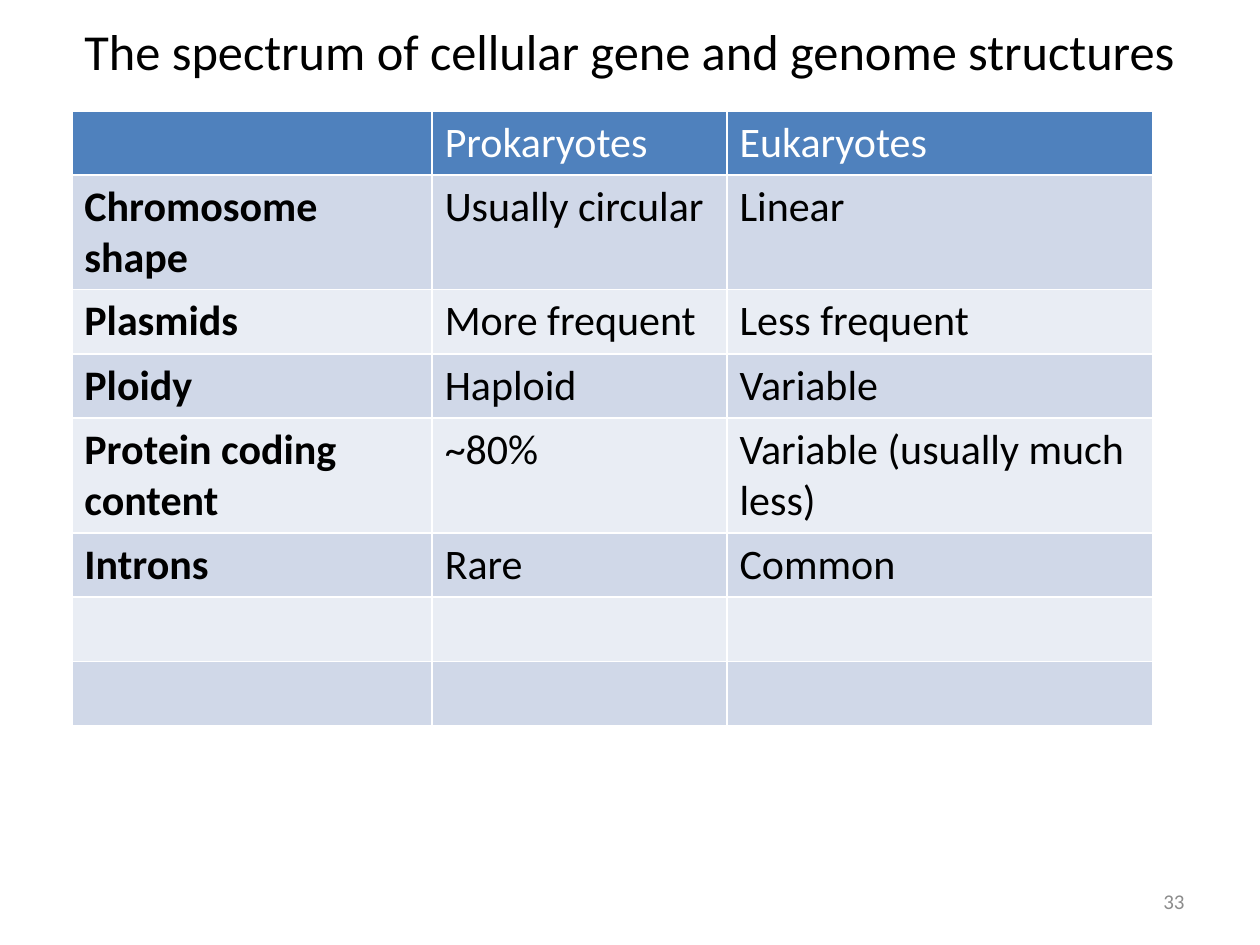
from dataclasses import dataclass

from lxml.etree import SubElement
from pptx import Presentation
from pptx.dml.color import RGBColor
from pptx.enum.text import MSO_ANCHOR as Anchor, PP_ALIGN as Align
from pptx.oxml.ns import qn
from pptx.util import Inches, Pt


@dataclass(frozen=True)
class Theme:
    font: str = "Calibri"
    ink: str = "000000"
    white: str = "FFFFFF"
    muted: str = "8C8C8C"
    header: str = "4F81BD"
    bands: tuple = ("D0D8E8", "E9EDF4")
    title_size: float = 28.8
    cell_size: float = 24
    number_size: float = 12
    border: float = 1


THEME = Theme()

COMPARISON = [
    ("", "Prokaryotes", "Eukaryotes"),
    ("Chromosome shape", "Usually circular", "Linear"),
    ("Plasmids", "More frequent", "Less frequent"),
    ("Ploidy", "Haploid", "Variable"),
    ("Protein coding content", "~80%", "Variable (usually much less)"),
    ("Introns", "Rare", "Common"),
    ("", "", ""),
    ("", "", ""),
]
COLUMN_WIDTHS = (2.86, 2.34, 3.38)
ONE_LINE, TWO_LINES = 0.51, 0.91
TWO_LINE_ROWS = (1, 4)


def write(frame, text, size, color=THEME.ink, bold=False, align=Align.LEFT):
    """Put one formatted paragraph into a text frame."""
    paragraph = frame.paragraphs[0]
    paragraph.alignment = align
    run = paragraph.add_run()
    run.text = text
    run.font.name = THEME.font
    run.font.size = Pt(size)
    run.font.bold = bold
    run.font.color.rgb = RGBColor.from_string(color)


def add_label(slide, text, left, top, width, height, anchor=Anchor.TOP, **style):
    box = slide.shapes.add_textbox(*map(Inches, (left, top, width, height)))
    frame = box.text_frame
    frame.word_wrap = True
    frame.vertical_anchor = anchor
    write(frame, text, **style)


def style_cell(cell, fill):
    """Give a cell its borders and its fill."""
    properties = cell._tc.get_or_add_tcPr()
    for side in ("lnL", "lnR", "lnT", "lnB"):
        line = SubElement(properties, qn(f"a:{side}"), w=str(Pt(THEME.border)))
        solid = SubElement(line, qn("a:solidFill"))
        SubElement(solid, qn("a:srgbClr"), val=THEME.white)
    cell.fill.solid()
    cell.fill.fore_color.rgb = RGBColor.from_string(fill)


def add_comparison(slide, left, top):
    heights = [TWO_LINES if row in TWO_LINE_ROWS else ONE_LINE
               for row in range(len(COMPARISON))]
    table = slide.shapes.add_table(
        len(COMPARISON), len(COLUMN_WIDTHS), Inches(left), Inches(top),
        Inches(sum(COLUMN_WIDTHS)), Inches(sum(heights))).table
    table.horz_banding = False
    for column, width in zip(table.columns, COLUMN_WIDTHS):
        column.width = Inches(width)

    for r, (entries, height) in enumerate(zip(COMPARISON, heights)):
        table.rows[r].height = Inches(height)
        is_header = r == 0
        fill = THEME.header if is_header else THEME.bands[(r - 1) % 2]
        for c, entry in enumerate(entries):
            cell = table.cell(r, c)
            style_cell(cell, fill)
            if entry:
                write(cell.text_frame, entry, THEME.cell_size,
                      color=THEME.white if is_header else THEME.ink,
                      bold=c == 0)


def main():
    presentation = Presentation()
    presentation.slide_width = Inches(10)
    presentation.slide_height = Inches(7.5)
    slide = presentation.slides.add_slide(presentation.slide_layouts[6])

    # Title
    add_label(slide, "The spectrum of cellular gene and genome structures",
              0.5, 0.11, 9, 0.8, size=THEME.title_size, align=Align.CENTER)

    # Slide number
    add_label(slide, "33", 7.17, 6.95, 2.33, 0.4, anchor=Anchor.MIDDLE,
              size=THEME.number_size, color=THEME.muted, align=Align.RIGHT)

    # Prokaryotes against eukaryotes
    add_comparison(slide, 0.57, 0.88)

    presentation.save("out.pptx")


if __name__ == "__main__":
    main()
